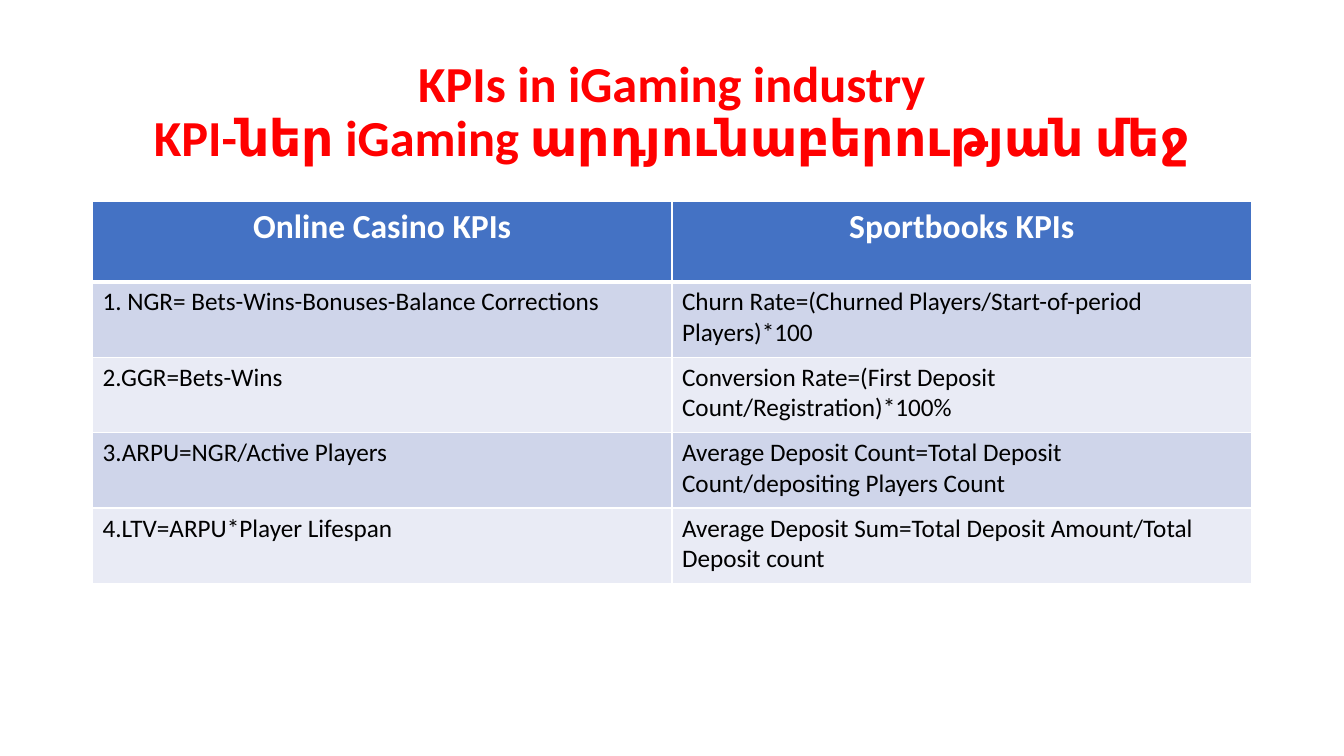
from dataclasses import dataclass

from lxml import etree
from pptx import Presentation
from pptx import util as u
from pptx.dml import color as col
from pptx.enum import text as tx
from pptx.oxml import ns

FONT = "Calibri"
WHITE = "FFFFFF"
LEFT, WIDTH = u.Cm(2.33), u.Cm(29.21)


@dataclass
class Style:
    size: int
    color: str
    bold: bool
    align: tx.PP_ALIGN


@dataclass
class Row:
    cells: tuple[str, str]
    fill: str
    style: Style
    height: float
    top: int = 1
    base: int = 1


TITLE = Style(36, "FF0000", True, tx.PP_ALIGN.CENTER)
HEAD = Style(24, WHITE, True, tx.PP_ALIGN.CENTER)
BODY = Style(18, "000000", False, tx.PP_ALIGN.LEFT)
BANDS = ("CFD5EA", "E9EBF5")

HEADS = ("Online Casino KPIs", "Sportbooks KPIs")
KPIS = [
    ("1. NGR= Bets-Wins-Bonuses-Balance Corrections",
     "Churn Rate=(Churned Players/Start-of-period Players)*100"),
    ("2.GGR=Bets-Wins",
     "Conversion Rate=(First Deposit Count/Registration)*100%"),
    ("3.ARPU=NGR/Active Players",
     "Average Deposit Count=Total Deposit Count/depositing Players Count"),
    ("4.LTV=ARPU*Player Lifespan",
     "Average Deposit Sum=Total Deposit Amount/Total Deposit count"),
]


def rgb(code: str) -> col.RGBColor:
    return col.RGBColor.from_string(code)


def write(frame, words: str, style: Style) -> None:
    frame.text = words
    for para in frame.paragraphs:
        para.alignment = style.align
        for run in para.runs:
            font = run.font
            font.name, font.size, font.bold = FONT, u.Pt(style.size), style.bold
            font.color.rgb = rgb(style.color)


def border(cell, side: str, width: int) -> None:
    props = cell._tc.get_or_add_tcPr()
    line = etree.SubElement(props, ns.qn(f"a:ln{side}"), w=str(u.Pt(width)))
    fill = etree.SubElement(line, ns.qn("a:solidFill"))
    etree.SubElement(fill, ns.qn("a:srgbClr"), val=WHITE)


def draw_title(slide) -> None:
    box = slide.shapes.add_textbox(LEFT, u.Cm(1.01), WIDTH, u.Cm(3.68))
    frame = box.text_frame
    frame.word_wrap = True
    frame.vertical_anchor = tx.MSO_ANCHOR.MIDDLE
    write(frame, "KPIs in iGaming industry\vKPI-ներ iGaming արդյունաբերության մեջ", TITLE)
    frame.paragraphs[0].line_spacing = 0.9


def draw_table(slide, rows: list[Row]) -> None:
    height = u.Cm(sum(row.height for row in rows))
    table = slide.shapes.add_table(
        len(rows), len(HEADS), LEFT, u.Cm(5.08), WIDTH, height).table
    for line, row in zip(table.rows, rows):
        line.height = u.Cm(row.height)
        for cell, words in zip(line.cells, row.cells):
            write(cell.text_frame, words, row.style)
            for side, width in (("L", 1), ("R", 1), ("T", row.top), ("B", row.base)):
                border(cell, side, width)
            cell.fill.solid()
            cell.fill.fore_color.rgb = rgb(row.fill)


def main() -> None:
    deck = Presentation()
    deck.slide_width, deck.slide_height = u.Cm(33.87), u.Cm(19.05)
    slide = deck.slides.add_slide(deck.slide_layouts[6])

    # Title in two languages
    draw_title(slide)

    # Header row, then banded KPI rows
    rows = [Row(HEADS, "4472C4", HEAD, 2.02, base=3)]
    for i, pair in enumerate(KPIS):
        rows.append(Row(pair, BANDS[i % 2], BODY, 1.9, top=1 if i else 3))
    draw_table(slide, rows)

    deck.save("out.pptx")


if __name__ == "__main__":
    main()
